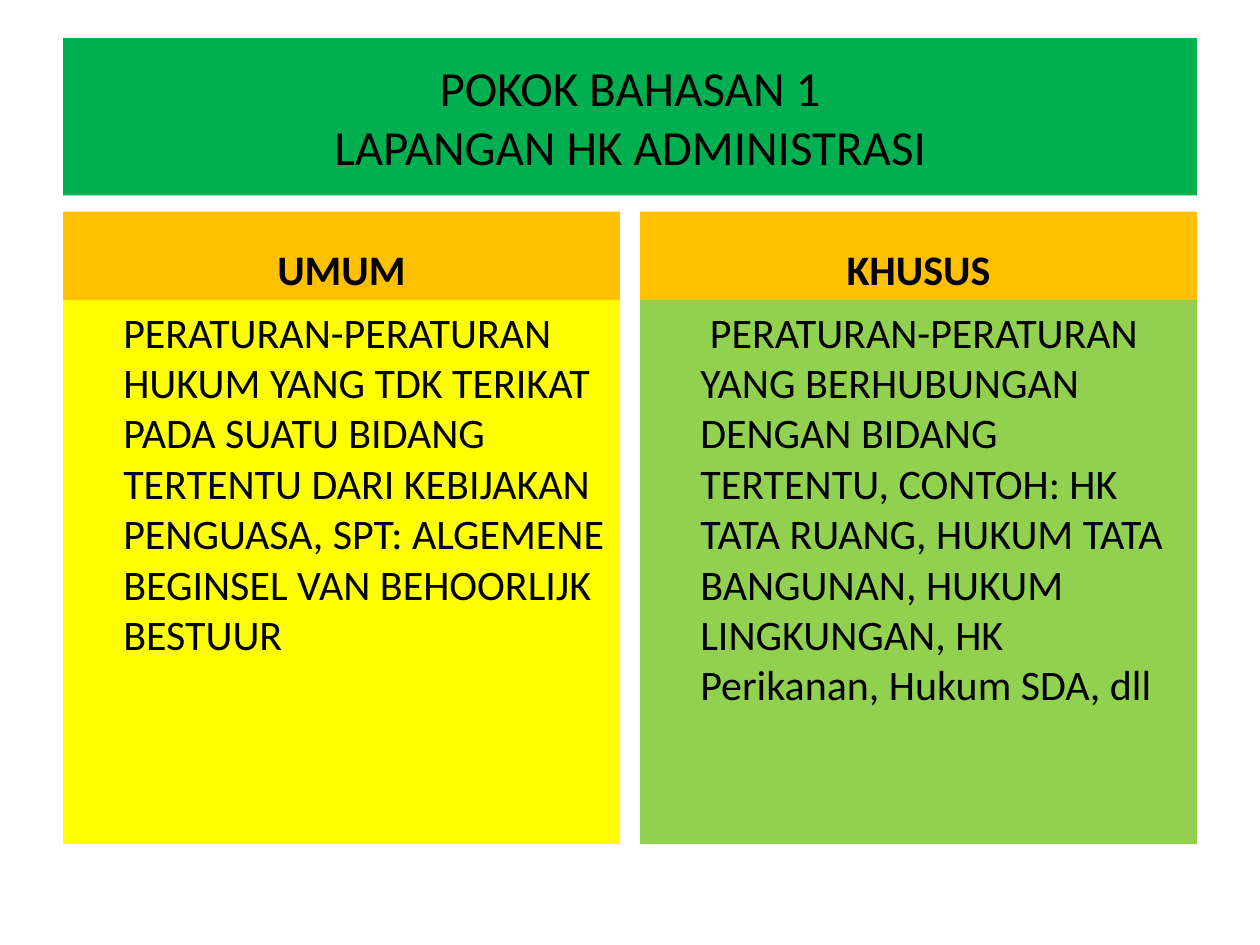
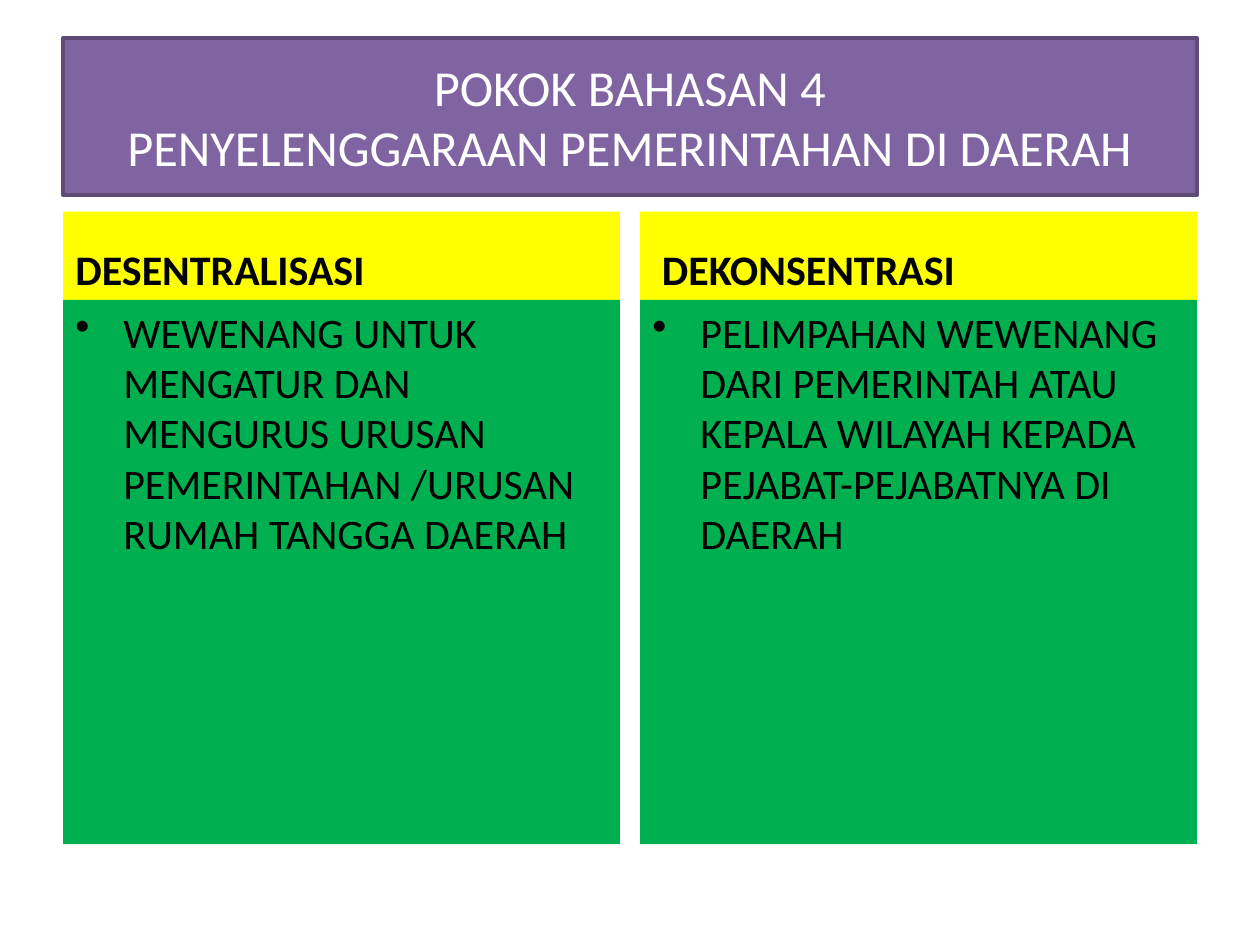
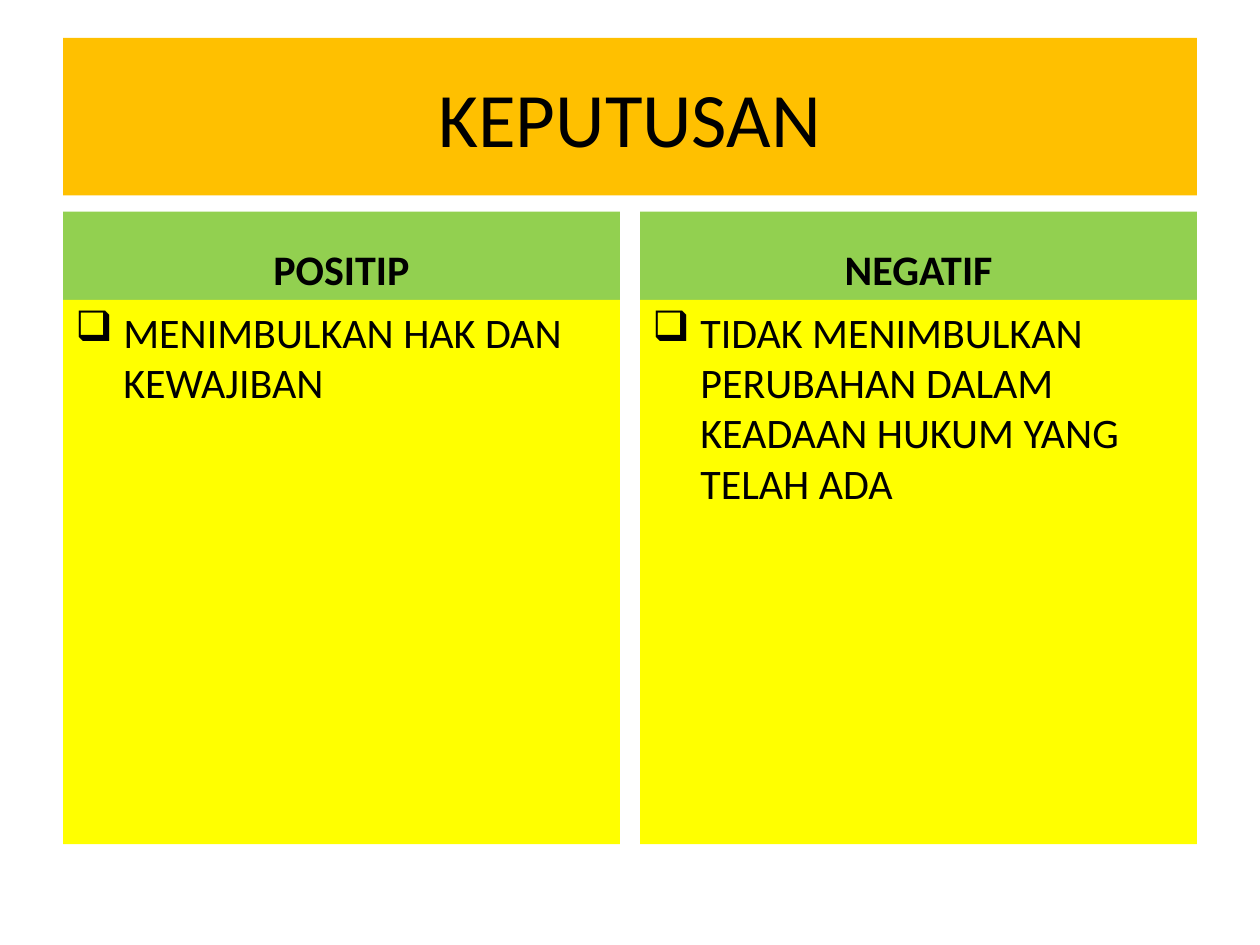
from dataclasses import dataclass

from lxml.etree import SubElement
from pptx import Presentation
from pptx.dml.color import RGBColor
from pptx.enum.shapes import MSO_SHAPE
from pptx.enum.text import MSO_ANCHOR, MSO_AUTO_SIZE, PP_ALIGN
from pptx.oxml.ns import qn
from pptx.shapes.base import BaseShape
from pptx.slide import Slide
from pptx.util import Inches, Pt

HUES = {
    "black": "000000",
    "white": "FFFFFF",
    "green": "00B050",
    "lime": "92D050",
    "gold": "FFC000",
    "yellow": "FFFF00",
    "purple": "8064A2",
    "plum": "5F4A78",
}
FONT = "Calibri"
LEFT = 0.5
WIDE = 9
GAP = 0.16
COL = (WIDE - GAP) / 2
TITLE_TOP, TITLE_TALL = 0.3, 1.25
HEAD_TOP, HEAD_TALL = 1.68, 0.7
BODY_TOP, BODY_TALL = HEAD_TOP + HEAD_TALL, 4.32
INDENT = 0.38


@dataclass(frozen=True)
class Column:
    head: str
    text: str
    fill: str


@dataclass(frozen=True)
class Page:
    title: tuple[str, ...]
    size: float
    fill: str
    head_fill: str
    cols: tuple[Column, Column]
    ink: str = "black"
    edge: str = ""
    align: PP_ALIGN = PP_ALIGN.CENTER
    mark: str = ""


PAGES = (
    Page(
        ("POKOK BAHASAN 1", "LAPANGAN HK ADMINISTRASI"), 28, "green", "gold",
        (
            Column(
                "UMUM",
                "PERATURAN-PERATURAN HUKUM YANG TDK TERIKAT PADA SUATU BIDANG "
                "TERTENTU DARI KEBIJAKAN PENGUASA, SPT: ALGEMENE BEGINSEL VAN "
                "BEHOORLIJK BESTUUR",
                "yellow",
            ),
            Column(
                "KHUSUS",
                " PERATURAN-PERATURAN YANG BERHUBUNGAN DENGAN BIDANG TERTENTU, "
                "CONTOH: HK TATA RUANG, HUKUM TATA BANGUNAN, HUKUM LINGKUNGAN, "
                "HK Perikanan, Hukum SDA, dll",
                "lime",
            ),
        ),
    ),
    Page(
        ("POKOK BAHASAN 4", "PENYELENGGARAAN PEMERINTAHAN DI DAERAH"), 28.8,
        "purple", "yellow",
        (
            Column(
                "DESENTRALISASI",
                "WEWENANG UNTUK MENGATUR DAN MENGURUS URUSAN PEMERINTAHAN "
                "/URUSAN RUMAH TANGGA DAERAH",
                "green",
            ),
            Column(
                " DEKONSENTRASI",
                "PELIMPAHAN WEWENANG DARI PEMERINTAH ATAU KEPALA WILAYAH KEPADA "
                "PEJABAT-PEJABATNYA DI DAERAH",
                "green",
            ),
        ),
        ink="white", edge="plum", align=PP_ALIGN.LEFT, mark="•",
    ),
    Page(
        ("KEPUTUSAN",), 44, "gold", "lime",
        (
            Column("POSITIP", "MENIMBULKAN HAK DAN KEWAJIBAN", "yellow"),
            Column(
                "NEGATIF",
                "TIDAK MENIMBULKAN PERUBAHAN DALAM KEADAAN HUKUM YANG TELAH ADA",
                "yellow",
            ),
        ),
        mark="❑",
    ),
)


def color(name: str) -> RGBColor:
    return RGBColor.from_string(HUES[name])


def paint(shape: BaseShape, fill: str, edge: str = "") -> None:
    shape.fill.solid()
    shape.fill.fore_color.rgb = color(fill)
    if edge:
        shape.line.color.rgb = color(edge)
        shape.line.width = Pt(2)
    else:
        shape.line.fill.background()


def write(shape: BaseShape, lines: tuple[str, ...], size: float, ink: str,
          align: PP_ALIGN, anchor: MSO_ANCHOR, bold: bool = False) -> None:
    """Fill the shape with one paragraph, its lines parted by breaks."""
    frame = shape.text_frame
    frame.word_wrap = True
    frame.auto_size = MSO_AUTO_SIZE.NONE
    frame.vertical_anchor = anchor
    para = frame.paragraphs[0]
    para.alignment = align
    for i, line in enumerate(lines):
        if i:
            para.add_line_break()
        run = para.add_run()
        run.text = line
        run.font.name = FONT
        run.font.size = Pt(size)
        run.font.bold = bold
        run.font.color.rgb = color(ink)


def indent(shape: BaseShape, mark: str) -> None:
    """Indent the text; a mark hangs in the margin as its bullet."""
    props = shape.text_frame.paragraphs[0]._p.get_or_add_pPr()
    props.set("marL", str(Inches(INDENT)))
    props.set("indent", str(-Inches(INDENT) if mark else 0))
    if mark:
        SubElement(props, qn("a:buChar")).set("char", mark)
    else:
        SubElement(props, qn("a:buNone"))


def add_box(slide: Slide, left: float, top: float, tall: float,
            fill: str) -> BaseShape:
    box = slide.shapes.add_shape(
        MSO_SHAPE.RECTANGLE, Inches(left), Inches(top), Inches(COL), Inches(tall))
    box.shadow.inherit = False
    paint(box, fill)
    return box


def add_title(slide: Slide, page: Page) -> None:
    title = slide.shapes.title
    title.left, title.top = Inches(LEFT), Inches(TITLE_TOP)
    title.width, title.height = Inches(WIDE), Inches(TITLE_TALL)
    paint(title, page.fill, page.edge)
    write(title, page.title, page.size, page.ink, PP_ALIGN.CENTER,
          MSO_ANCHOR.MIDDLE)


def add_page(deck: Presentation, page: Page) -> None:
    slide = deck.slides.add_slide(deck.slide_layouts.get_by_name("Title Only"))
    add_title(slide, page)
    for i, col in enumerate(page.cols):
        left = LEFT + i * (COL + GAP)
        head = add_box(slide, left, HEAD_TOP, HEAD_TALL, page.head_fill)
        write(head, (col.head,), 24, "black", page.align, MSO_ANCHOR.BOTTOM, True)
        body = add_box(slide, left, BODY_TOP, BODY_TALL, col.fill)
        write(body, (col.text,), 24, "black", PP_ALIGN.LEFT, MSO_ANCHOR.TOP)
        indent(body, page.mark)


def main() -> None:
    deck = Presentation()
    deck.slide_width, deck.slide_height = Inches(10), Inches(7.5)
    for page in PAGES:
        add_page(deck, page)
    deck.save("out.pptx")


if __name__ == "__main__":
    main()
